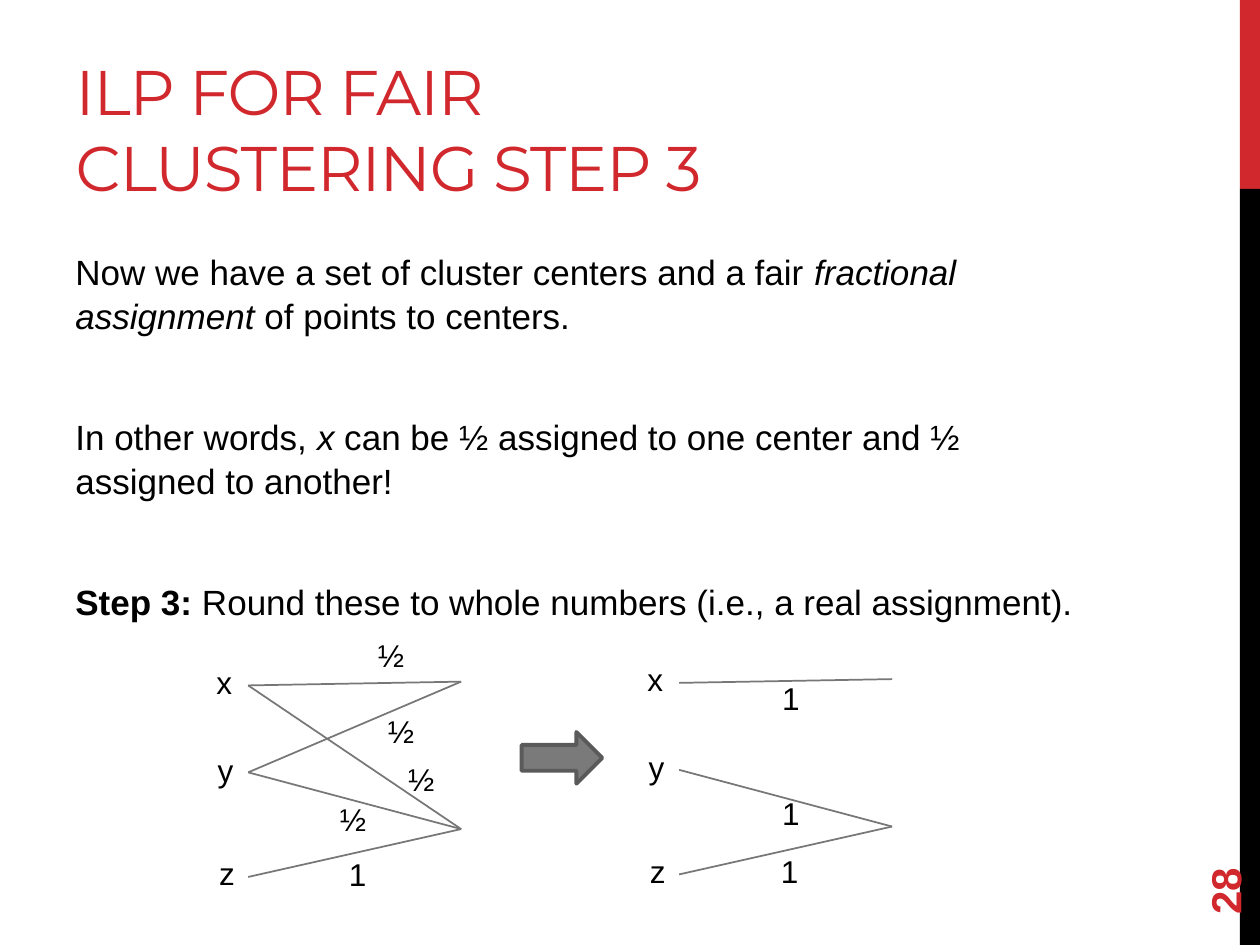
from pptx import Presentation
from pptx import util as u
from pptx.dml.color import RGBColor
from pptx.enum import shapes, text
from pptx.oxml.ns import qn
from lxml import etree

RED = RGBColor(0xD1, 0x28, 0x2E)
BLACK = RGBColor(0, 0, 0)
EDGE = RGBColor(0x77, 0x77, 0x77)
FILL = RGBColor(0x7A, 0x7A, 0x7A)
RIM = RGBColor(0x5A, 0x5A, 0x5A)

deck = Presentation()
deck.slide_width, deck.slide_height = u.Inches(10), u.Inches(7.5)
slide = deck.slides.add_slide(deck.slide_layouts[5])


def style(item, form):
    for key, val in form.items():
        if key == "color":
            item.color.rgb = val
        else:
            setattr(item, key, val)


def write(words, place, form):
    box = slide.shapes.add_textbox(*map(u.Inches, place))
    box.text_frame.word_wrap = True
    run = box.text_frame.paragraphs[0].add_run()
    run.text = words
    style(run.font, form)
    return box


for top, high, color in [(0, 1.5, RED), (1.5, 6, BLACK)]:
    bar = slide.shapes.add_shape(shapes.MSO_SHAPE.RECTANGLE, u.Inches(9.84),
                                 u.Inches(top), u.Inches(0.16), u.Inches(high))
    bar.shadow.inherit = False
    bar.fill.solid()
    bar.fill.fore_color.rgb = color
    bar.line.fill.background()

title = slide.shapes.title
style(title, {"left": u.Inches(0.5), "top": u.Inches(0.17),
              "width": u.Inches(6.33), "height": u.Inches(1.5)})
style(title.text_frame, {"text": "ILP FOR FAIR CLUSTERING STEP 3", "word_wrap": True,
                         "auto_size": text.MSO_AUTO_SIZE.NONE,
                         "vertical_anchor": text.MSO_ANCHOR.BOTTOM})
head = title.text_frame.paragraphs[0]
head.alignment = text.PP_ALIGN.LEFT
style(head.runs[0].font, {"name": "Montserrat", "size": u.Pt(36), "color": RED})
head.runs[0].font._element.set("spc", "-60")

plain = {"name": "Arial", "size": u.Pt(20), "color": BLACK}
body = slide.shapes.add_textbox(*map(u.Inches, (0.5, 1.92, 8.33, 3.22)))
body.text_frame.word_wrap = True
lines = [
    [("Now we have a set of cluster centers and a fair ", {}),
     ("fractional assignment", {"italic": True}),
     (" of points to centers.", {})],
    [("In other words, ", {}), ("x", {"italic": True}),
     (" can be ½ assigned to one center and ½ assigned to another!", {})],
    [("Step 3:", {"bold": True}),
     (" Round these to whole numbers (i.e., a real assignment).", {})],
]
for i, line in enumerate(lines):
    para = body.text_frame.paragraphs[0] if i == 0 else body.text_frame.add_paragraph()
    style(para, {"line_spacing": 1.05, "space_before": u.Pt(38 if i else 0),
                 "space_after": u.Pt(6)})
    for words, extra in line:
        run = para.add_run()
        run.text = words
        style(run.font, {**plain, **extra})

page = write("28", (9, 6.44, 1.44, 0.4),
             {"name": "Arial", "size": u.Pt(24), "bold": True, "color": RED})
page.rotation = 270
page.text_frame.vertical_anchor = text.MSO_ANCHOR.MIDDLE

points = {"x": 5.44, "y": 6.13, "z": 6.96}
hubs = {"a": 5.41, "b": 6.58}
names = [("x", 1.62, 5.21), ("y", 1.63, 5.91), ("z", 1.64, 6.73)]
graphs = [
    (0, 0, ["ya", "xa", "xb", "yb", "zb"],
     [("½", 2.9, 5), ("½", 2.98, 5.6), ("½", 3.14, 5.98),
      ("½", 2.6, 6.3), ("1", 2.67, 6.74)]),
    (3.42, -0.02, ["xa", "yb", "zb"],
     [("1", 2.69, 5.36), ("1", 2.69, 6.27), ("1", 2.68, 6.73)]),
]
for dx, dy, edges, costs in graphs:
    for start, end in edges:
        edge = slide.shapes.add_connector(
            shapes.MSO_CONNECTOR.STRAIGHT,
            u.Inches(1.97 + dx), u.Inches(points[start] + dy),
            u.Inches(3.66 + dx), u.Inches(hubs[end] + dy))
        style(edge.line, {"width": u.Pt(1)})
        edge.line.color.rgb = EDGE
        etree.SubElement(edge._element.spPr, qn("a:effectLst"))
    for words, left, top in names + costs:
        write(words, (left + dx, top + dy, 0.6, 0.4), {**plain, "size": u.Pt(18)})

arrow = slide.shapes.add_shape(shapes.MSO_SHAPE.RIGHT_ARROW,
                               *map(u.Inches, (4.14, 5.81, 0.64, 0.41)))
arrow.shadow.inherit = False
arrow.fill.solid()
arrow.fill.fore_color.rgb = FILL
arrow.line.color.rgb = RIM
arrow.line.width = u.Pt(2.25)

deck.save("out.pptx")
